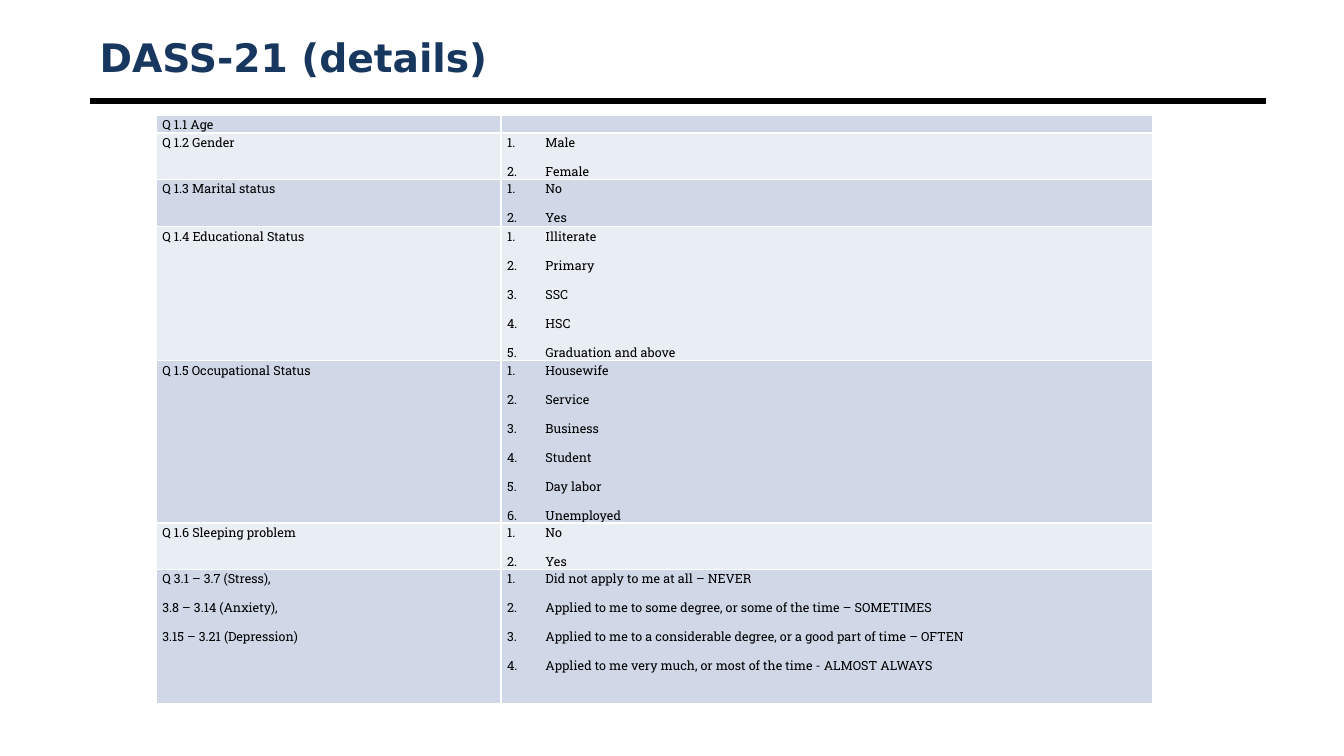
from dataclasses import dataclass

from lxml.etree import SubElement
from pptx import Presentation
from pptx.dml.color import RGBColor
from pptx.enum.shapes import MSO_CONNECTOR
from pptx.enum.text import MSO_ANCHOR
from pptx.oxml import parse_xml
from pptx.oxml.ns import nsdecls, qn
from pptx.util import Inches, Pt


@dataclass(frozen=True)
class Theme:
    title_font: str = "DejaVu Sans"
    body_font: str = "Roboto Slab"
    title_size: int = 28
    body_size: int = 9
    title_color: str = "17375E"
    text_color: str = "000000"
    rule_color: str = "000000"
    border_color: str = "FFFFFF"
    bands: tuple = ("D0D8E8", "E9EDF4")


QUESTIONS = [
    (0.18, ["Q 1.1 Age"], []),
    (0.46, ["Q 1.2 Gender"], ["Male", "Female"]),
    (0.47, ["Q 1.3 Marital status"], ["No", "Yes"]),
    (1.33, ["Q 1.4 Educational Status"],
     ["Illiterate", "Primary", "SSC", "HSC", "Graduation and above"]),
    (1.61, ["Q 1.5 Occupational Status"],
     ["Housewife", "Service", "Business", "Student", "Day labor", "Unemployed"]),
    (0.46, ["Q 1.6 Sleeping problem"], ["No", "Yes"]),
    (1.33,
     ["Q 3.1 – 3.7 (Stress),", "3.8 – 3.14 (Anxiety),", "3.15 – 3.21 (Depression)"],
     ["Did not apply to me at all – NEVER",
      "Applied to me to some degree, or some of the time – SOMETIMES",
      "Applied to me to a considerable degree, or a good part of time – OFTEN",
      "Applied to me very much, or most of the time - ALMOST ALWAYS"]),
]


class SlideBuilder:
    def __init__(self, slide, theme):
        self.slide = slide
        self.theme = theme

    def title(self, text, left, top, width, height):
        shape = self.slide.shapes.add_textbox(
            Inches(left), Inches(top), Inches(width), Inches(height))
        frame = shape.text_frame
        frame.word_wrap = True
        frame.vertical_anchor = MSO_ANCHOR.MIDDLE
        frame.text = text
        font = frame.paragraphs[0].runs[0].font
        font.name = self.theme.title_font
        font.size = Pt(self.theme.title_size)
        font.bold = True
        font.color.rgb = RGBColor.from_string(self.theme.title_color)

    def rule(self, left, right, top, weight):
        connector = self.slide.shapes.add_connector(
            MSO_CONNECTOR.STRAIGHT,
            Inches(left), Inches(top), Inches(right), Inches(top))
        connector.line.color.rgb = RGBColor.from_string(self.theme.rule_color)
        connector.line.width = Pt(weight)
        SubElement(connector._element.spPr, qn("a:effectLst"))

    def question_table(self, questions, left, top, column_widths):
        heights = [height for height, _, _ in questions]
        table = self.slide.shapes.add_table(
            len(questions), len(column_widths), Inches(left), Inches(top),
            Inches(sum(column_widths)), Inches(sum(heights))).table
        table.first_row = False
        table.horz_banding = False
        for column, width in zip(table.columns, column_widths):
            column.width = Inches(width)
        for index, (height, question, answers) in enumerate(questions):
            table.rows[index].height = Inches(height)
            band = self.theme.bands[index % 2]
            self.cell(table.cell(index, 0), question, band)
            self.cell(table.cell(index, 1), answers, band, numbered=True)

    def cell(self, cell, lines, band, numbered=False):
        cell.margin_left = cell.margin_right = Inches(0.06)
        cell.margin_top = cell.margin_bottom = 0
        cell.fill.solid()
        cell.fill.fore_color.rgb = RGBColor.from_string(band)
        self.borders(cell)
        cell.text_frame.text = "\n".join(lines)
        for paragraph in cell.text_frame.paragraphs:
            paragraph.line_spacing = 1.07
            paragraph.space_after = Pt(8)
            if numbered and lines:
                self.number(paragraph)
            for run in paragraph.runs:
                run.font.name = self.theme.body_font
                run.font.size = Pt(self.theme.body_size)
                run.font.color.rgb = RGBColor.from_string(self.theme.text_color)
            if not lines:
                SubElement(paragraph._p, qn("a:endParaRPr"),
                           sz=str(self.theme.body_size * 100))

    def borders(self, cell):
        properties = cell._tc.get_or_add_tcPr()
        for position, side in enumerate(("lnL", "lnR", "lnT", "lnB")):
            properties.insert(position, parse_xml(
                f'<a:{side} {nsdecls("a")} w="{Pt(1)}"><a:solidFill>'
                f'<a:srgbClr val="{self.theme.border_color}"/>'
                f'</a:solidFill></a:{side}>'))

    def number(self, paragraph):
        properties = paragraph._p.get_or_add_pPr()
        properties.set("marL", str(Inches(0.38)))
        properties.set("indent", str(Inches(-0.38)))
        SubElement(properties, qn("a:buFont"), typeface=self.theme.body_font)
        SubElement(properties, qn("a:buAutoNum"), type="arabicPeriod")


def main():
    presentation = Presentation()
    presentation.slide_width = Inches(13.33)
    presentation.slide_height = Inches(7.5)
    slide = presentation.slides.add_slide(presentation.slide_layouts[6])
    builder = SlideBuilder(slide, Theme())
    builder.rule(0.89, 12.56, 1, 4.5)
    builder.title("DASS-21 (details)", 0.89, 0.3, 11.67, 0.53)
    builder.question_table(QUESTIONS, 1.55, 1.14, (3.42, 6.46))
    presentation.save("out.pptx")


if __name__ == "__main__":
    main()
